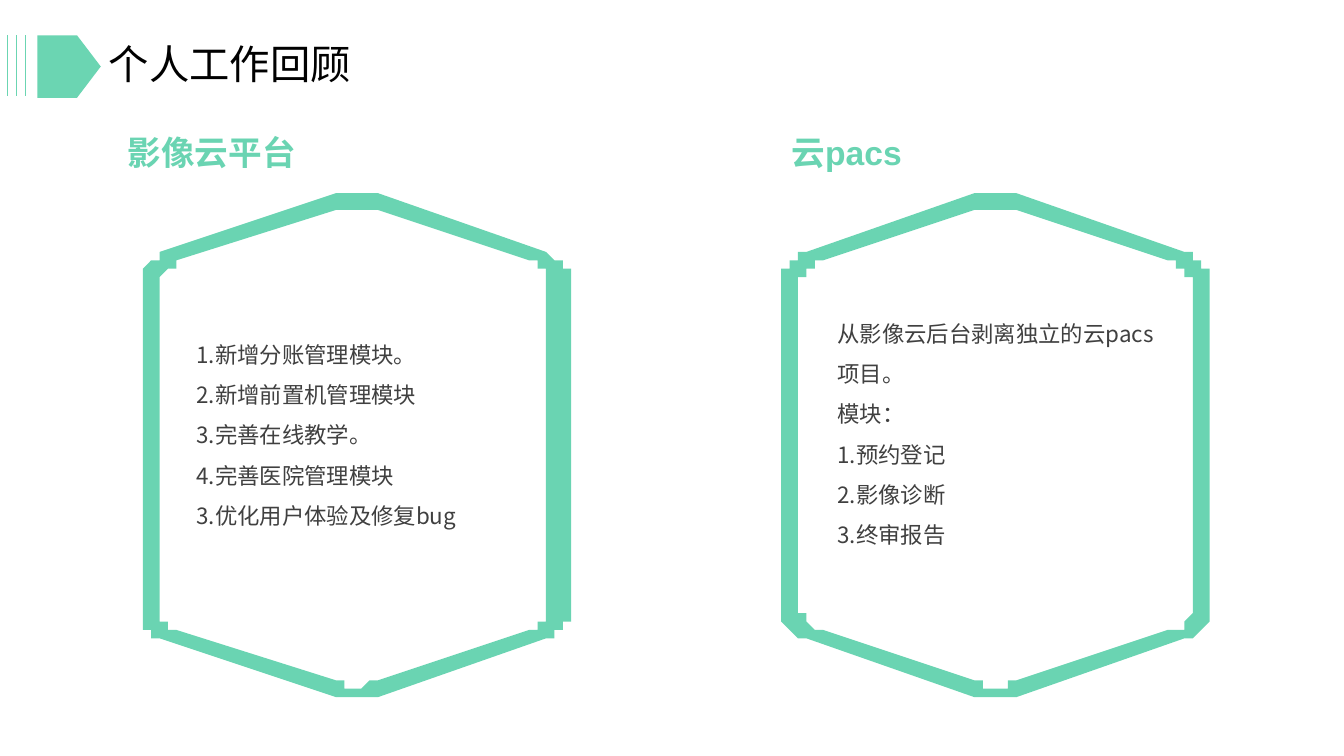
from dataclasses import dataclass

from pptx import Presentation, util as u
from pptx.dml.color import RGBColor
from pptx.enum import shapes as sh, text as tx
from pptx.oxml import parse_xml
from pptx.oxml.ns import nsdecls

HEX = {"mint": "6BD5B2", "teal": "6AD4B2", "black": "000000", "grey": "404040"}
COLS, ROWS = 160, 90  # square cells, twelve to the inch
CELL = u.Inches(1 / 12)

Point = tuple[float, float]


@dataclass
class Box:
    x: float
    y: float
    w: float
    h: float


@dataclass
class Style:
    font: str
    size: float
    tint: str
    bold: bool = False
    space: float = 1.0
    align: tx.PP_ALIGN = tx.PP_ALIGN.LEFT


@dataclass
class Panel:
    mid: float
    head: str
    title: Box
    body: Box
    lines: list[str]


TITLE = Style("Arial", 28.8, "black", space=0.9)
HEAD = Style("Arial", 24, "teal", bold=True, align=tx.PP_ALIGN.CENTER)
BODY = Style("Noto Sans CJK SC", 16, "grey", space=1.5)

PANELS = [
    Panel(42.24, "影像云平台", Box(12.96, 15.72, 24.48, 4.8),
          Box(23.4, 39, 37.68, 24.24),
          ["1.新增分账管理模块。", "2.新增前置机管理模块", "3.完善在线教学。",
           "4.完善医院管理模块", "3.优化用户体验及修复bug"]),
    Panel(118.56, "云pacs", Box(88.56, 15.72, 24.48, 4.8),
          Box(99.72, 36.48, 37.68, 29.04),
          ["从影像云后台剥离独立的云pacs项目。", "模块：", "1.预约登记",
           "2.影像诊断", "3.终审报告"]),
]

# Upper right quarter of each rim, from the frame's centre: tip curve, corner curve
MIDDLE = 53.16
OUTER = [[(0, -30), (0.96, -30), (1.8, -30), (2.52, -29.8)],
         [(22.8, -22.9), (24.24, -22.4), (25.44, -21.24), (25.44, -20.28)]]
INNER = [[(0, -28.44), (0.84, -28.44), (1.68, -28.3), (2.28, -28.2)],
         [(20.76, -21.96), (22.08, -21.6), (23.16, -20.52), (23.16, -19.56)]]


def cells(n: float) -> int:
    return round(n * CELL)


def place(box: Box) -> list[int]:
    return [cells(n) for n in (box.x, box.y, box.w, box.h)]


def tint(name: str) -> RGBColor:
    return RGBColor.from_string(HEX[name])


def paint(shape, name: str) -> None:
    shape.shadow.inherit = False
    shape.fill.solid()
    shape.fill.fore_color.rgb = tint(name)
    shape.line.fill.background()


def write(slide, box: Box, lines: list[str], style: Style) -> None:
    frame = slide.shapes.add_textbox(*place(box)).text_frame
    frame.word_wrap = True
    frame.margin_left = frame.margin_right = 0
    frame.margin_top = frame.margin_bottom = 0
    frame.text = "\n".join(lines)
    for para in frame.paragraphs:
        para.alignment = style.align
        para.line_spacing = style.space
        para.font.name = style.font
        para.font.size = u.Pt(style.size)
        para.font.bold = style.bold
        para.font.color.rgb = tint(style.tint)


def curve(ends: list[Point], steps: int = 12) -> list[Point]:
    points = []
    for i in range(steps + 1):
        t = i / steps
        parts = ((1 - t) ** 3, 3 * t * (1 - t) ** 2, 3 * t * t * (1 - t), t ** 3)
        points.append((sum(p * e[0] for p, e in zip(parts, ends)),
                       sum(p * e[1] for p, e in zip(parts, ends))))
    return points


def rim(arcs: list[list[Point]], mid: float) -> list[Point]:
    part = [point for arc in arcs for point in curve(arc)]
    half = part + [(x, -y) for x, y in reversed(part)]
    full = half + [(-x, y) for x, y in reversed(half)]
    return [(mid + x, MIDDLE + y) for x, y in full]


def frame(slide, mid: float) -> None:
    first, hole = rim(OUTER, mid), rim(INNER, mid)
    pen = slide.shapes.build_freeform(*first[0], scale=CELL)
    pen.add_line_segments(first[1:], close=True)
    pen.move_to(*hole[0])
    pen.add_line_segments(hole[1:], close=True)
    paint(pen.convert_to_shape(), "teal")


def stripe(slide, x: float, top: float, foot: float) -> None:
    line = slide.shapes.add_connector(
        sh.MSO_CONNECTOR.STRAIGHT, cells(x), cells(top), cells(x), cells(foot))
    line.line.color.rgb = tint("mint")
    line.line.width = u.Pt(0.5)
    line._element.spPr.append(parse_xml(f"<a:effectLst {nsdecls('a')}/>"))


def main() -> None:
    deck = Presentation()
    deck.slide_width, deck.slide_height = cells(COLS), cells(ROWS)
    slide = deck.slides.add_slide(deck.slide_layouts[6])

    # Title with its tag and stripes
    tag = slide.shapes.add_shape(
        sh.MSO_SHAPE.PENTAGON, *place(Box(4.44, 4.2, 7.56, 7.44)))
    tag.adjustments[0] = 0.38
    paint(tag, "mint")
    for i in range(3):
        stripe(slide, 0.84 + 1.08 * i, 4.2, 11.4)
    write(slide, Box(12.96, 5.28, 66.12, 6.6), ["个人工作回顾"], TITLE)

    # Framed panels
    for panel in PANELS:
        write(slide, panel.title, [panel.head], HEAD)
        frame(slide, panel.mid)
        write(slide, panel.body, panel.lines, BODY)

    deck.save("out.pptx")


if __name__ == "__main__":
    main()
